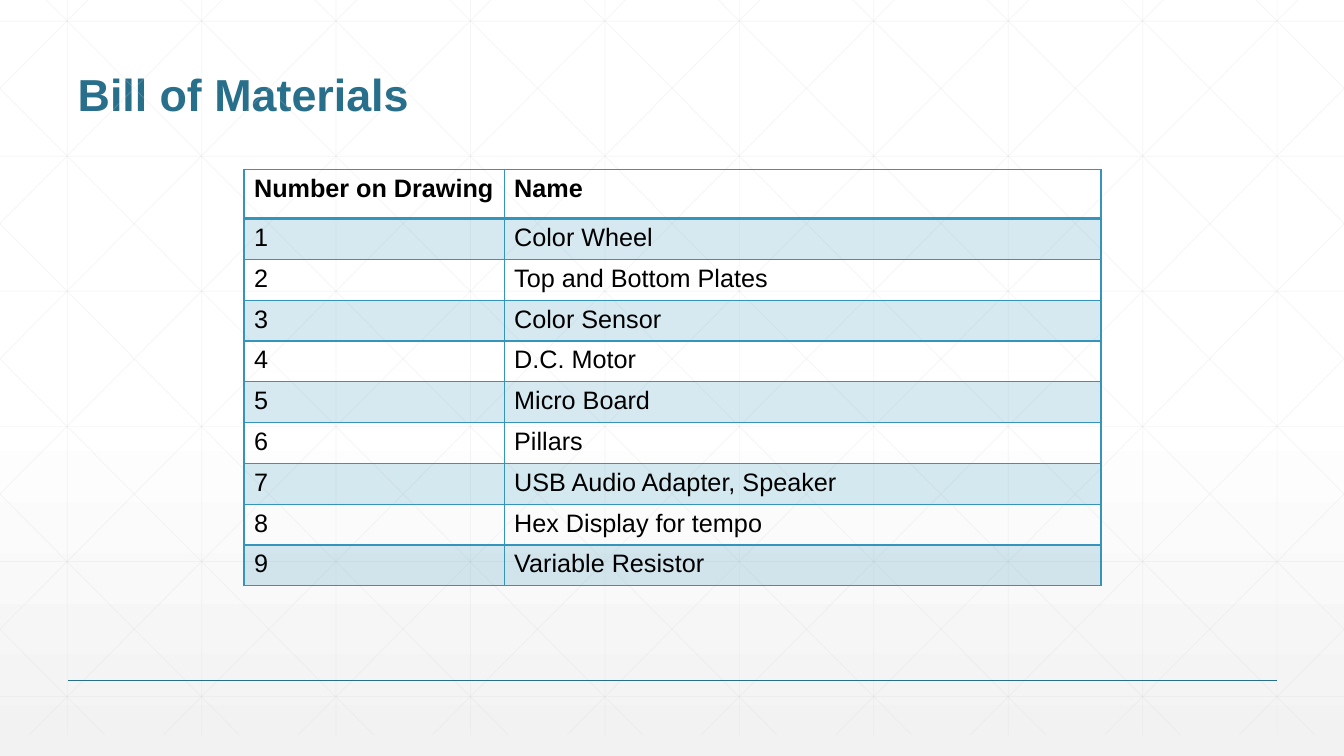
from copy import deepcopy
from lxml import etree
from pptx import Presentation, util as u
from pptx.dml.color import RGBColor
from pptx.enum import shapes, text
from pptx.oxml import ns

WIDE, HIGH = 13.33, 7.5
STEP = 4 / 3      # pitch of the background grid
FOOT = 7.29       # lower end of the grid
RISE = 1.006      # slope of the diagonals


def hue(code):
    return RGBColor.from_string(code)


def add(parent, tag, **attrs):
    return etree.SubElement(parent, ns.qn("a:" + tag), attrs)


def fade(part, share):
    for tint in part.iter(ns.qn("a:srgbClr")):
        add(tint, "alpha", val=str(share * 1000))


class Page:
    teal, dark, ink, pale = "3494BA", "276F8B", "000000", "D9D9D9"
    face = "Arial"

    def __init__(self, deck):
        self.slide = deck.slides.add_slide(deck.slide_layouts[5])

    def ground(self, stops):
        fill = self.slide.background.fill
        fill.gradient()
        fill.gradient_angle = 270
        marks = self.slide.element.find(".//" + ns.qn("a:gsLst"))
        while len(marks) < len(stops):
            marks.append(deepcopy(marks[-1]))
        for stop, (place, code) in zip(fill.gradient_stops, stops):
            stop.position = place
            stop.color.rgb = hue(code)

    def line(self, x1, y1, x2, y2, code, size, share=100):
        ends = [u.Inches(v) for v in (x1, y1, x2, y2)]
        rule = self.slide.shapes.add_connector(shapes.MSO_CONNECTOR.STRAIGHT, *ends)
        rule.line.color.rgb = hue(code)
        rule.line.width = u.Pt(size)
        props = rule.element.spPr
        if share < 100:
            fade(props, share)
        add(props, "effectLst")

    def label(self, frame, words, size, code, bold):
        para = frame.paragraphs[0]
        para.alignment = text.PP_ALIGN.LEFT
        run = para.add_run()
        run.text = words
        style = {"name": self.face, "size": u.Pt(size), "bold": bold}
        for key, val in style.items():
            setattr(run.font, key, val)
        run.font.color.rgb = hue(code)
        return para

    def title(self, words, left, top, width, height):
        head = self.slide.shapes.title
        spot = {"left": left, "top": top, "width": width, "height": height}
        for key, val in spot.items():
            setattr(head, key, u.Inches(val))
        frame = head.text_frame
        form = {"vertical_anchor": text.MSO_ANCHOR.BOTTOM,
                "auto_size": text.MSO_AUTO_SIZE.NONE, "word_wrap": True}
        for key, val in form.items():
            setattr(frame, key, val)
        self.label(frame, words, 32, self.dark, True).line_spacing = 0.9

    def edge(self, cell, side, size):
        props = cell._tc.get_or_add_tcPr()
        rule = add(props, "ln" + side, w=str(u.Pt(size)))
        add(add(rule, "solidFill"), "srgbClr", val=self.teal)

    def table(self, rows, left, top, cols, first, rest):
        tall = [first] + [rest] * (len(rows) - 1)
        box = [u.Inches(v) for v in (left, top, sum(cols), sum(tall))]
        grid = self.slide.shapes.add_table(len(rows), len(cols), *box).table
        grid.first_row = grid.horz_banding = False
        for col, width in zip(grid.columns, cols):
            col.width = u.Inches(width)
        for r, words in enumerate(rows):
            grid.rows[r].height = u.Inches(tall[r])
            for c, word in enumerate(words):
                cell = grid.cell(r, c)
                cell.margin_right = u.Inches(0.05)
                self.label(cell.text_frame, word, 18, self.ink, r == 0)
                for side in "LRTB":
                    thick = (r, side) in ((0, "B"), (1, "T"))
                    self.edge(cell, side, 2 if thick else 1)
                # Odd rows are tinted, the others let the grid show
                if r % 2:
                    cell.fill.solid()
                    cell.fill.fore_color.rgb = hue(self.teal)
                    fade(cell._tc.tcPr.find(ns.qn("a:solidFill")), 20)
                else:
                    cell.fill.background()


def main():
    deck = Presentation()
    deck.slide_width, deck.slide_height = u.Inches(WIDE), u.Inches(HIGH)
    page = Page(deck)
    page.ground([(0, "FFFFFF"), (0.53, "FFFFFF"), (1, "F2F2F2")])

    # Background grid: uprights, levels, then mirrored diagonals
    faint = (page.pale, 0.5, 25)
    for k in range(10):
        x = STEP * (k + 0.5)
        page.line(x, 0, x, FOOT, *faint)
    for k in range(6):
        y = 0.21 + 1.34 * k
        page.line(0, y, WIDE, y, *faint)
    for k in range(-5, 10):
        base = 0.46 + STEP * k
        y1, y2 = max(0, -base * RISE), min(FOOT, (WIDE - base) * RISE)
        x1, x2 = base + y1 / RISE, base + y2 / RISE
        page.line(x1, y1, x2, y2, *faint)
        page.line(WIDE - x1, y1, WIDE - x2, y2, *faint)

    # Footer rule and title
    page.line(0.67, 6.75, 12.67, 6.75, page.dark, 1)
    page.title("Bill of Materials", 0.67, 0.25, 12, 1)

    # Parts list
    parts = ["Color Wheel", "Top and Bottom Plates", "Color Sensor",
             "D.C. Motor", "Micro Board", "Pillars",
             "USB Audio Adapter, Speaker", "Hex Display for tempo",
             "Variable Resistor"]
    rows = [("Number on Drawing", "Name")]
    rows += [(str(n), part) for n, part in enumerate(parts, 1)]
    page.table(rows, 2.42, 1.68, (2.58, 5.92), 0.49, 0.405)
    deck.save("out.pptx")


if __name__ == "__main__":
    main()
